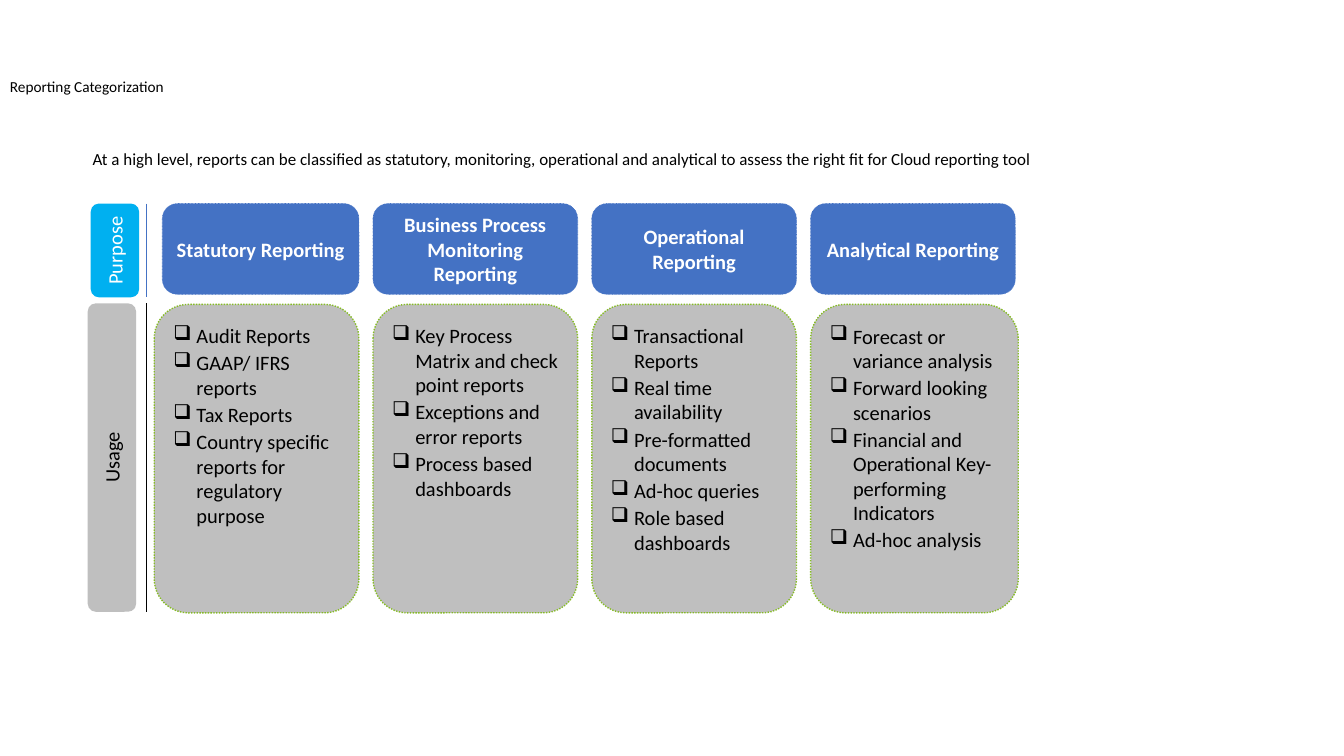
"""Build the Reporting Categorization slide with four report classes."""
from lxml.etree import SubElement
from pptx import Presentation
from pptx.dml.color import RGBColor
from pptx.enum.dml import MSO_LINE
from pptx.enum.shapes import MSO_CONNECTOR, MSO_SHAPE
from pptx.enum.text import MSO_ANCHOR as Anchor, PP_ALIGN as Align
from pptx.oxml.ns import qn
from pptx.util import Inches, Pt

BLUE, CYAN, GREY, GREEN = "4472C4", "00B0F0", "BFBFBF", "86BC25"
BLACK, WHITE = "000000", "FFFFFF"
rgb = RGBColor.from_string


def write(shape, lines, size=14.6, color=BLACK, bold=False, align=Align.LEFT,
          anchor=Anchor.TOP, inset=0.09, gap=0, spacing=None, bullet=None, vert=None):
    frame = shape.text_frame
    frame.word_wrap = True
    frame.vertical_anchor = anchor
    if inset is not None:
        frame.margin_left = frame.margin_right = Inches(inset)
        frame.margin_top = frame.margin_bottom = Inches(inset)
    if vert:
        frame._txBody.bodyPr.set("vert", vert)
    frame.text = "\n".join(lines)
    for paragraph in frame.paragraphs:
        paragraph.alignment = align
        paragraph.space_before = paragraph.space_after = Pt(gap)
        paragraph.line_spacing = spacing
        font = paragraph.runs[0].font
        font.name, font.size, font.bold = "Calibri", Pt(size), bold
        font.color.rgb = rgb(color)
        if bullet:
            properties = paragraph._p.get_or_add_pPr()
            properties.set("marL", str(Inches(0.23)))
            properties.set("indent", str(-Inches(0.23)))
            SubElement(properties, qn("a:buChar")).set("char", bullet)


def add_card(left, top, width, height, fill, outline=None, weight=1):
    card = slide.shapes.add_shape(MSO_SHAPE.ROUNDED_RECTANGLE, Inches(left), Inches(top),
                                  Inches(width), Inches(height))
    card.shadow.inherit = False
    card.fill.solid()
    card.fill.fore_color.rgb = rgb(fill)
    if outline:
        card.line.color.rgb = rgb(outline)
        card.line.width = Pt(weight)
        card.line.dash_style = MSO_LINE.ROUND_DOT
    else:
        card.line.fill.background()
    return card


deck = Presentation()
deck.slide_width, deck.slide_height = Inches(13.33), Inches(7.5)
slide = deck.slides.add_slide(deck.slide_layouts[6])

title = slide.shapes.add_textbox(Inches(0), Inches(0.44), Inches(10.81), Inches(0.85))
write(title, ["Reporting Categorization"], size=10.9, anchor=Anchor.MIDDLE,
      inset=None, spacing=0.9)
summary = slide.shapes.add_textbox(Inches(0.82), Inches(1.42), Inches(11.64), Inches(0.4))
write(summary, ["At a high level, reports can be classified as statutory, monitoring, "
                "operational and analytical to assess the right fit for Cloud reporting tool"],
      size=12.1, inset=None)

categories = [
    ("Statutory Reporting", 0.08, 2.03,
     ["Audit Reports", "GAAP/ IFRS reports", "Tax Reports",
      "Country specific reports for regulatory purpose"]),
    ("Business Process Monitoring Reporting", 0, 2.03,
     ["Key Process Matrix and check point reports", "Exceptions and error reports",
      "Process based dashboards"]),
    ("Operational Reporting", 0, 2.03,
     ["Transactional Reports", "Real time availability", "Pre-formatted documents",
      "Ad-hoc queries", "Role based dashboards"]),
    ("Analytical Reporting", 0, 2.06,
     ["Forecast or variance analysis", "Forward looking scenarios",
      "Financial and Operational Key-performing Indicators", "Ad-hoc analysis"]),
]
for column, (purpose, indent, usage_width, usages) in enumerate(categories):
    left = 1.53 + 2.17 * column
    purpose_card = add_card(left + indent, 2.02, 2.03 - indent, 0.9, BLUE, BLUE, 0.5)
    write(purpose_card, [purpose], color=WHITE, bold=True, align=Align.CENTER,
          anchor=Anchor.MIDDLE, gap=2.7)
    usage_card = add_card(left, 3.02, usage_width, 3.06, GREY, GREEN)
    write(usage_card, usages, gap=0.9, bullet="❑")

row_labels = [
    ("Usage", 0.87, 3.01, 3.06, GREY, BLACK, BLACK),
    ("Purpose", 0.9, 2.02, 0.93, CYAN, WHITE, BLUE),
]
for label, left, top, height, fill, ink, rule_color in row_labels:
    write(add_card(left, top, 0.48, height, fill), [label], color=ink,
          align=Align.CENTER, vert="vert270")
    rule = slide.shapes.add_connector(MSO_CONNECTOR.STRAIGHT, Inches(1.45), Inches(top),
                                      Inches(1.45), Inches(top + height))
    rule.line.color.rgb = rgb(rule_color)
    rule.line.width = Pt(0.5)
    SubElement(rule._element.spPr, qn("a:effectLst"))

deck.save("out.pptx")
